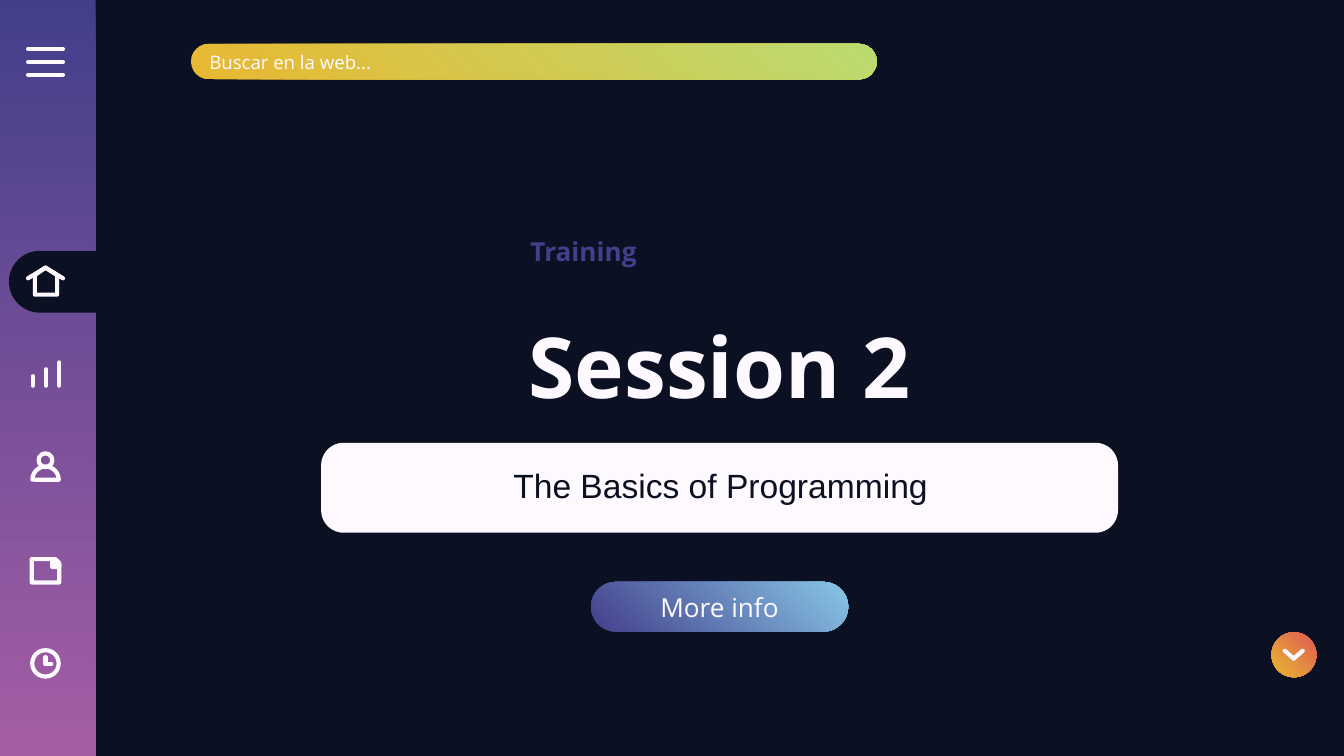
from dataclasses import dataclass
from typing import Any, NamedTuple, Optional, Union

import lxml.etree
import pptx
import pptx.dml.color
import pptx.enum.shapes
import pptx.enum.text
import pptx.oxml.ns
import pptx.util

Cm = pptx.util.Cm
Kind = pptx.enum.shapes.MSO_SHAPE
Align = pptx.enum.text.PP_ALIGN
Anchor = pptx.enum.text.MSO_ANCHOR
qn = pptx.oxml.ns.qn


class Gradient(NamedTuple):
    start: str
    end: str
    angle: int = 45


Paint = Union[str, Gradient]


@dataclass(frozen=True)
class Theme:
    night: str = "0B1022"
    white: str = "FDF9FF"
    sidebar: Gradient = Gradient("433F8B", "A55EA5", 270)
    search: Gradient = Gradient("E8B832", "BBDB70")
    button: Gradient = Gradient("433F8B", "87C5E5")
    arrow: Gradient = Gradient("DF5953", "E8B832")
    label: Gradient = Gradient("433F8B", "A55EA5", 0)
    font: str = "Open Sans"
    subtitle_font: str = "Arial"
    title_size: int = 45
    subtitle_size: int = 18
    label_size: int = 14
    search_size: int = 10
    stroke: float = 2.25
    inset: float = 0.25


THEME = Theme()


class Box(NamedTuple):
    """Left, top, width and height in centimetres."""
    left: float
    top: float
    width: float
    height: float

    def lengths(self) -> list:
        return [Cm(value) for value in self]


@dataclass(frozen=True)
class Form:
    kind: Any
    box: Box
    fill: Optional[Paint] = None
    outlined: bool = False
    adjustments: tuple = ()
    rotation: int = 0


@dataclass(frozen=True)
class Outline:
    points: tuple
    fill: Optional[Paint] = None


class Stroke(NamedTuple):
    x1: float
    y1: float
    x2: float
    y2: float


@dataclass(frozen=True)
class Icon:
    forms: tuple = ()
    outlines: tuple = ()
    strokes: tuple = ()


def paint(fill: Any, colour: Optional[Paint]) -> None:
    if colour is None:
        fill.background()
    elif isinstance(colour, Gradient):
        fill.gradient()
        fill.gradient_angle = colour.angle
        for stop, rgb in zip(fill.gradient_stops, (colour.start, colour.end)):
            stop.color.rgb = pptx.dml.color.RGBColor.from_string(rgb)
    else:
        fill.solid()
        fill.fore_color.rgb = pptx.dml.color.RGBColor.from_string(colour)


def draw_stroke_style(shape: Any) -> None:
    """Give a white line with round ends and corners."""
    paint(shape.line.fill, THEME.white)
    shape.line.width = pptx.util.Pt(THEME.stroke)
    line = shape.element.spPr.find(qn("a:ln"))
    line.set("cap", "rnd")
    lxml.etree.SubElement(line, qn("a:round"))


def draw_form(shapes: Any, form: Form) -> Any:
    shape = shapes.add_shape(form.kind, *form.box.lengths())
    shape.shadow.inherit = False
    shape.rotation = form.rotation
    for index, value in enumerate(form.adjustments):
        shape.adjustments[index] = value
    paint(shape.fill, form.fill)
    if form.outlined:
        draw_stroke_style(shape)
    else:
        shape.line.fill.background()
    return shape


def draw_outline(shapes: Any, outline: Outline) -> None:
    start, *rest = [(Cm(x), Cm(y)) for x, y in outline.points]
    builder = shapes.build_freeform(*start)
    builder.add_line_segments(rest, close=True)
    shape = builder.convert_to_shape()
    shape.shadow.inherit = False
    paint(shape.fill, outline.fill)
    draw_stroke_style(shape)


def draw_stroke(shapes: Any, stroke: Stroke) -> None:
    connector = shapes.add_connector(
        pptx.enum.shapes.MSO_CONNECTOR.STRAIGHT, *[Cm(value) for value in stroke])
    draw_stroke_style(connector)
    lxml.etree.SubElement(connector.element.spPr, qn("a:effectLst"))


def draw_icon(slide: Any, icon: Icon) -> None:
    group = slide.shapes.add_group_shape()
    for form in icon.forms:
        draw_form(group.shapes, form)
    for outline in icon.outlines:
        draw_outline(group.shapes, outline)
    for stroke in icon.strokes:
        draw_stroke(group.shapes, stroke)


def write(shape: Any, text: str, size: int, colour: Paint, font: str = THEME.font,
          bold: bool = False, align: Any = Align.CENTER, anchor: Any = Anchor.MIDDLE,
          spacing: float = 1.0, inset: float = THEME.inset) -> None:
    frame = shape.text_frame
    frame.word_wrap = True
    frame.auto_size = pptx.enum.text.MSO_AUTO_SIZE.NONE
    frame.vertical_anchor = anchor
    frame.margin_left = frame.margin_right = Cm(THEME.inset)
    frame.margin_top = frame.margin_bottom = Cm(inset)
    paragraph = frame.paragraphs[0]
    paragraph.alignment = align
    paragraph.line_spacing = spacing
    paragraph.space_before = pptx.util.Pt(0)
    run = paragraph.add_run()
    run.text = text
    run.font.size = pptx.util.Pt(size)
    run.font.bold = bold
    run.font.name = font
    paint(run.font.fill, colour)


def place(placeholder: Any, box: Box) -> Any:
    """Move a placeholder to its box and in front of what is drawn so far."""
    placeholder.left, placeholder.top, placeholder.width, placeholder.height = box.lengths()
    placeholder.element.getparent().append(placeholder.element)
    return placeholder


MENU = Icon(strokes=tuple(Stroke(0.53, 0.93 + 0.24 * i, 1.19, 0.93 + 0.24 * i) for i in range(3)))
HOME = Icon(
    outlines=(Outline(((0.66, 5.2), (0.66, 5.57), (1.08, 5.57), (1.08, 5.2), (0.86, 5.06))),),
    strokes=tuple(Stroke(eave, 5.26, 0.86, 5.06) for eave in (0.53, 1.19)))
BARS = Icon(strokes=tuple(
    Stroke(0.62 + 0.25 * i, 7.11 - 0.13 * i, 0.62 + 0.25 * i, 7.29) for i in range(3)))
USER = Icon(forms=(
    Form(Kind.OVAL, Box(0.73, 8.57, 0.26, 0.26), outlined=True),
    Form(Kind.PIE, Box(0.61, 8.82, 0.5, 0.5), outlined=True,
         adjustments=(54.33, 162), rotation=90)))
NOTE = Icon(
    forms=(Form(Kind.SNIP_1_RECTANGLE, Box(0.6, 10.57, 0.52, 0.44), outlined=True),),
    outlines=(Outline(((0.99, 10.59), (1.07, 10.59), (1.12, 10.67), (1.12, 10.72),
                       (0.99, 10.72)), THEME.white),))
CLOCK = Icon(
    forms=(Form(Kind.OVAL, Box(0.61, 12.29, 0.5, 0.5), outlined=True),),
    strokes=(Stroke(0.86, 12.42, 0.86, 12.55), Stroke(0.97, 12.55, 0.86, 12.55)))
CHEVRON = Icon(strokes=tuple(Stroke(24.45, 12.45, tip, 12.3) for tip in (24.28, 24.62)))


def main() -> None:
    deck = pptx.Presentation()
    deck.slide_width, deck.slide_height = Cm(25.4), Cm(14.29)
    slide = deck.slides.add_slide(deck.slide_layouts[0])
    paint(slide.background.fill, THEME.night)
    title, subtitle = slide.placeholders

    draw_form(slide.shapes, Form(Kind.RECTANGLE, Box(0, 0, 1.81, 14.29), THEME.sidebar))
    draw_form(slide.shapes, Form(Kind.ROUNDED_RECTANGLE, Box(6.07, 8.37, 15.06, 1.7),
                                 THEME.white, adjustments=(0.25,)))
    draw_form(slide.shapes, Form(Kind.ROUND_2_SAME_RECTANGLE, Box(0.5, 4.41, 1.17, 1.83),
                                 THEME.night, adjustments=(0.5, 0), rotation=270))
    write(place(title, Box(5, 5.72, 17.2, 2.36)), "Session 2",
          THEME.title_size, THEME.white, bold=True)
    write(place(subtitle, Box(6.38, 8.51, 14.48, 1.4)), "The Basics of Programming",
          THEME.subtitle_size, THEME.night, THEME.subtitle_font, spacing=0.9)

    search = draw_form(slide.shapes, Form(Kind.ROUNDED_RECTANGLE, Box(3.61, 0.83, 12.96, 0.67),
                                          THEME.search, adjustments=(0.5,)))
    write(search, "Buscar en la web...", THEME.search_size, THEME.white, align=Align.LEFT)
    more = draw_form(slide.shapes, Form(Kind.ROUNDED_RECTANGLE, Box(11.17, 11, 4.86, 0.94),
                                        THEME.button, adjustments=(0.5,)))
    write(more, "More info", THEME.label_size, THEME.white)
    draw_form(slide.shapes, Form(Kind.OVAL, Box(24.03, 11.95, 0.85, 0.85),
                                 THEME.arrow, rotation=180))
    for icon in (MENU, HOME, BARS, USER, NOTE, CLOCK, CHEVRON):
        draw_icon(slide, icon)

    training = slide.shapes.add_textbox(*Box(7.32, 4.32, 7.42, 1.8).lengths())
    write(training, "Training", THEME.label_size, THEME.label, bold=True,
          anchor=Anchor.TOP, inset=0.13)
    deck.save("out.pptx")


if __name__ == "__main__":
    main()
